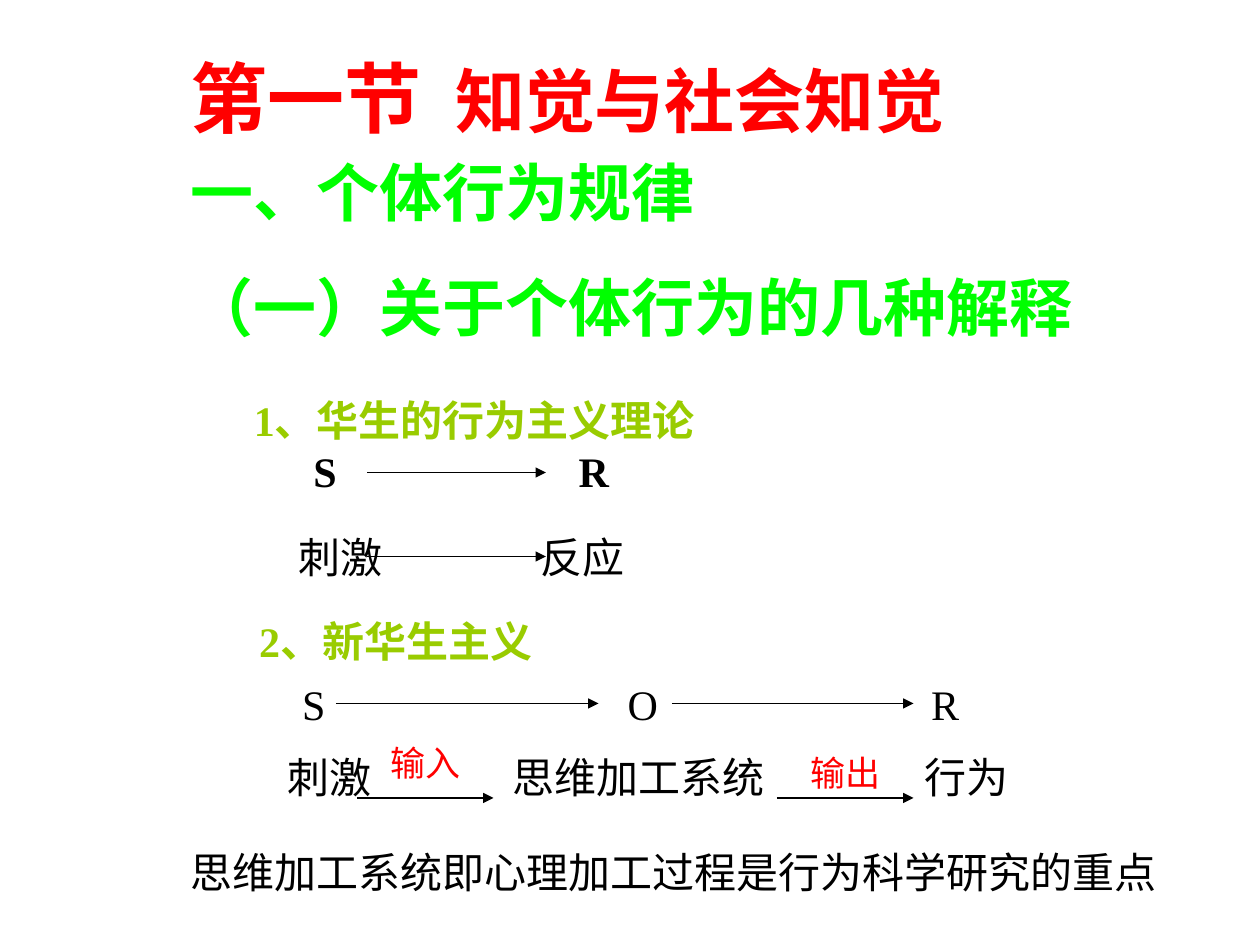
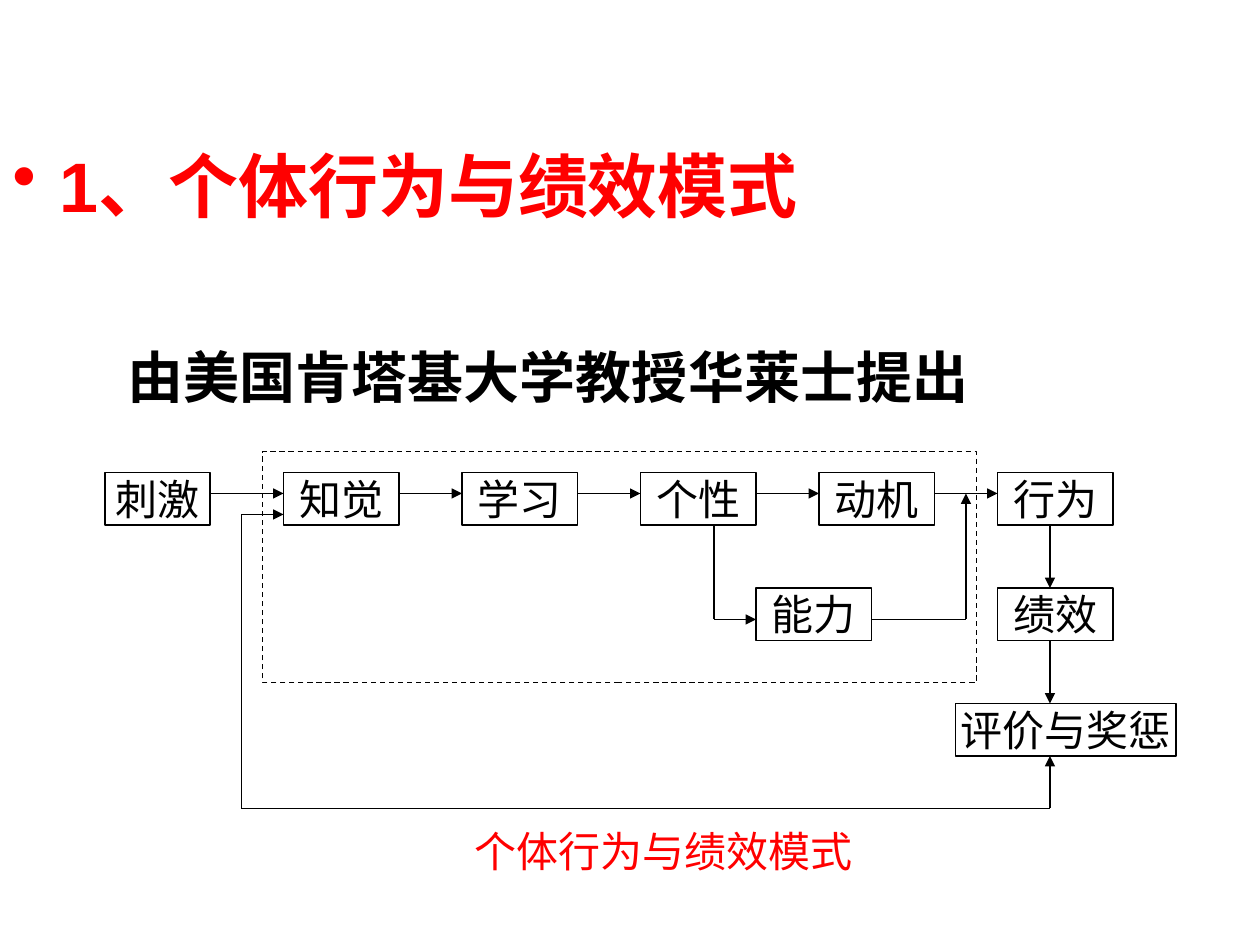
from itertools import pairwise

from lxml.etree import SubElement
from pptx import Presentation
from pptx.dml.color import RGBColor
from pptx.enum.dml import MSO_LINE_DASH_STYLE as Dash
from pptx.enum.shapes import MSO_CONNECTOR as Connector, MSO_SHAPE as Shape
from pptx.enum.text import MSO_ANCHOR as Anchor, PP_ALIGN as Align
from pptx.oxml.ns import qn
from pptx.util import Pt

BLACK = RGBColor(0, 0, 0)
WHITE = RGBColor(255, 255, 255)
RED = RGBColor(255, 0, 0)
GREEN = RGBColor(0, 255, 0)
OLIVE = RGBColor(0x99, 0xCC, 0)

BODY = {"name": "Times New Roman", "size": Pt(24), "bold": False, "color": BLACK}
STRONG = BODY | {"bold": True}
SUBHEAD = STRONG | {"color": OLIVE}
NOTE = BODY | {"color": RED}
LABEL = NOTE | {"size": Pt(20)}
STATEMENT = STRONG | {"size": Pt(32)}
TITLE = {"name": "Arial", "size": Pt(40), "bold": True, "color": RED}
SECTION = TITLE | {"size": Pt(44)}
HEADING = TITLE | {"size": Pt(36), "color": GREEN}


class Deck:
    """Holds the presentation, its line style and the current slide."""

    def __init__(self):
        self.presentation = Presentation()
        self.presentation.slide_width = Pt(720)
        self.presentation.slide_height = Pt(540)
        self.line_width = Pt(0.75)

    def new_slide(self):
        layout = self.presentation.slide_layouts[6]
        self.slide = self.presentation.slides.add_slide(layout)

    def style(self, font, values):
        for name, value in values.items():
            if name == "color":
                font.color.rgb = value
            else:
                setattr(font, name, value)

    def fill_paragraph(self, paragraph, runs, tabs=(), bullet=None):
        properties = paragraph._p.get_or_add_pPr()
        if bullet:
            properties.set("marL", str(Pt(27)))
            properties.set("indent", str(-Pt(27)))
            SubElement(properties, qn("a:buChar"), char=bullet)
        if tabs:
            tab_list = SubElement(properties, qn("a:tabLst"))
            for position in tabs:
                SubElement(tab_list, qn("a:tab"), pos=str(Pt(position)), algn="l")
        for text, values in runs:
            run = paragraph.add_run()
            run.text = text
            self.style(run.font, values)

    def text(self, left, top, width, height, *lines, gap=0, anchor=Anchor.TOP):
        box = self.slide.shapes.add_textbox(Pt(left), Pt(top), Pt(width), Pt(height))
        frame = box.text_frame
        frame.word_wrap = True
        frame.vertical_anchor = anchor
        for index, line in enumerate(lines):
            paragraph = frame.add_paragraph() if index else frame.paragraphs[0]
            self.fill_paragraph(paragraph, **line)
            if index:
                paragraph.space_before = Pt(gap)

    def rectangle(self, left, top, width, height):
        shape = self.slide.shapes.add_shape(
            Shape.RECTANGLE, Pt(left), Pt(top), Pt(width), Pt(height))
        shape.shadow.inherit = False
        shape.line.color.rgb = BLACK
        shape.line.width = self.line_width
        return shape

    def node(self, text, left, top, width=66):
        shape = self.rectangle(left, top, width, 30)
        shape.fill.solid()
        shape.fill.fore_color.rgb = WHITE
        frame = shape.text_frame
        frame.word_wrap = False
        frame.vertical_anchor = Anchor.MIDDLE
        paragraph = frame.paragraphs[0]
        paragraph.alignment = Align.CENTER
        self.fill_paragraph(paragraph, [(text, BODY)])

    def frame(self, left, top, width, height):
        shape = self.rectangle(left, top, width, height)
        shape.fill.background()
        shape.line.dash_style = Dash.DASH

    def arrow(self, *points, both_ends=False):
        outlines = []
        for start, end in pairwise(points):
            connector = self.slide.shapes.add_connector(
                Connector.STRAIGHT, *map(Pt, start + end))
            connector.line.color.rgb = BLACK
            connector.line.width = self.line_width
            properties = connector._element.spPr
            SubElement(properties, qn("a:effectLst"))
            outlines.append(properties.get_or_add_ln())
        if both_ends:
            SubElement(outlines[0], qn("a:headEnd"), type="triangle")
        SubElement(outlines[-1], qn("a:tailEnd"), type="triangle")


def line(text, values, **options):
    return {"runs": [(text, values)], **options}


def build_theories(deck):
    deck.new_slide()
    deck.text(102, 18, 546, 74,
              {"runs": [("第一节\t", SECTION), ("知觉与社会知觉", TITLE)], "tabs": [151]},
              anchor=Anchor.MIDDLE)
    deck.text(96, 222, 342, 65,
              line("\t1、华生的行为主义理论", SUBHEAD, tabs=[42]),
              line("\tS\tR", STRONG, tabs=[76, 227.5]))
    deck.text(163.5, 300, 210, 36, line("刺激\t反应", BODY, tabs=[138.5]))
    deck.text(141, 348, 190, 36, line("2、新华生主义", SUBHEAD))
    deck.text(165.5, 384, 400, 36, line("S\tO\tR", BODY, tabs=[186, 359.5]))
    deck.text(157.5, 426, 440, 36,
              line("刺激\t思维加工系统\t行为", BODY, tabs=[128.5, 363.5]))
    for text, left, top in [("输入", 216, 420), ("输出", 456, 426)]:
        deck.text(left, top, 60, 31, line(text, LABEL))
    deck.text(102, 480, 580, 36,
              line("思维加工系统即心理加工过程是行为科学研究的重点", BODY))
    deck.text(102, 84, 588, 117, line("一、个体行为规律", HEADING),
              line("（一）关于个体行为的几种解释", HEADING), gap=22.5)
    for start, end, y in [(210, 312, 270), (210, 312, 318), (204, 282, 456),
                          (444, 522, 456), (192, 342, 402), (384, 522, 402)]:
        deck.arrow((start, y), (end, y))


def build_performance_model(deck):
    deck.new_slide()
    deck.text(0, 78, 648, 62, line("1、个体行为与绩效模式", TITLE, bullet="•"))
    deck.text(66, 192, 570, 45, line("由美国肯塔基大学教授华莱士提出", STATEMENT))
    deck.text(264, 468, 236, 36, line("个体行为与绩效模式", NOTE))

    deck.node("刺激", 60, 270, 60)
    deck.arrow((120, 282), (162, 282))
    steps = ["知觉", "学习", "个性", "动机", "行为"]
    for index, step in enumerate(steps):
        left = 162 + 102 * index
        deck.node(step, left, 270)
        if index:
            deck.arrow((left - 36, 282), (left, 282))
    deck.node("能力", 432, 336)
    deck.node("绩效", 570, 336)
    deck.node("评价与奖惩", 546, 402, 126)

    for top in (300, 366):
        deck.arrow((600, top), (600, top + 36))
    deck.arrow((408, 300), (408, 354), (432, 354))
    deck.arrow((498, 354), (552, 354), (552, 282))
    deck.arrow((162, 294), (138, 294), (138, 462), (600, 462), (600, 432),
               both_ends=True)
    deck.frame(150, 258, 408, 132)


def main():
    deck = Deck()
    build_theories(deck)
    build_performance_model(deck)
    deck.presentation.save("out.pptx")


if __name__ == "__main__":
    main()
